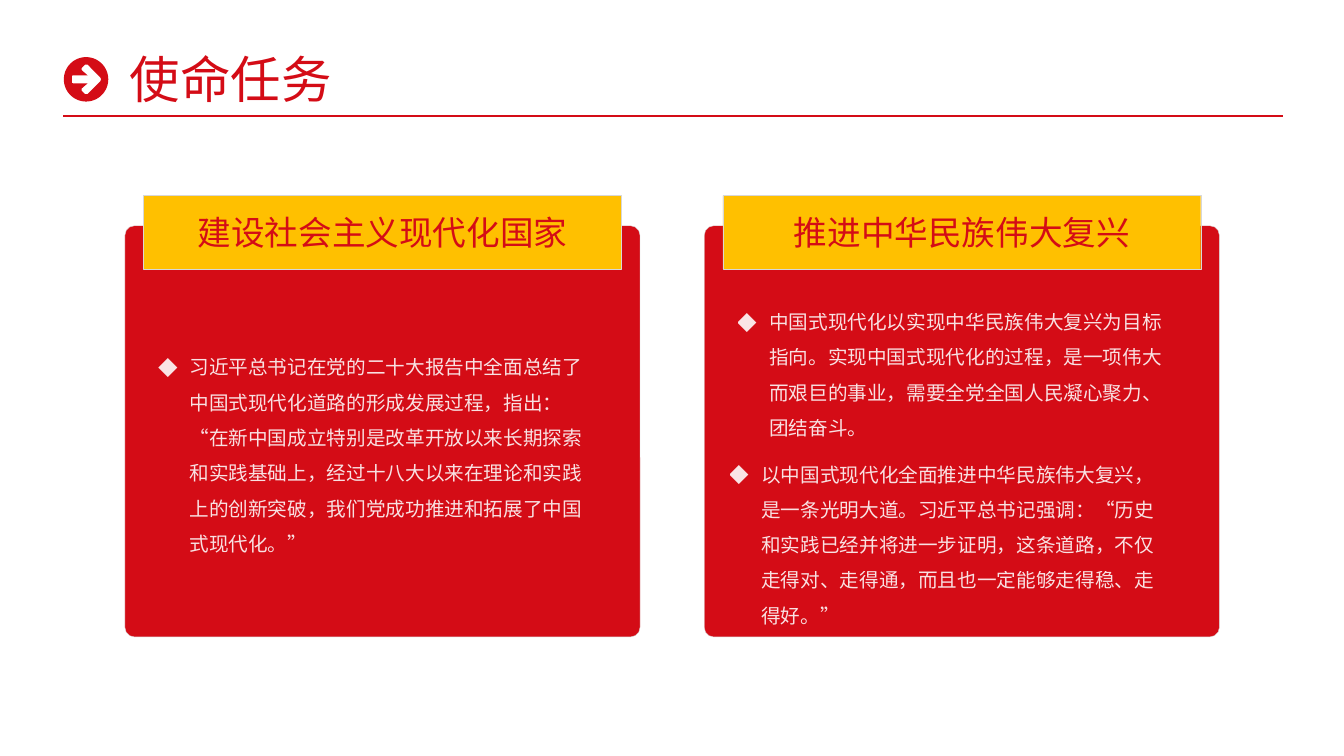
from math import cos, pi, sin

from lxml.etree import SubElement
from pptx import Presentation
from pptx.dml.color import RGBColor
from pptx.enum.lang import MSO_LANGUAGE_ID
from pptx.enum.shapes import MSO_CONNECTOR, MSO_SHAPE
from pptx.enum.text import MSO_ANCHOR, MSO_AUTO_SIZE, PP_ALIGN
from pptx.oxml.ns import qn
from pptx.util import Cm, Pt

FONT = "Noto Sans CJK SC"
RED, GOLD, GREY, WHITE = "D40C16", "FFC000", "D7D7D7", "FFFFFF"
CARD_TOP, CARD_W, CARD_H = 5.69, 12.98, 10.36
LIST_W = 11.61

# Each card: left edge, heading, lists as (left, top, height, text)
CARDS = [
    (3.15, "建设社会主义现代化国家", [
        (3.73, 8.53, 5.64,
         "习近平总书记在党的二十大报告中全面总结了中国式现代化道路的形成发展过程，指出："
         "“在新中国成立特别是改革开放以来长期探索和实践基础上，经过十八大以来在理论和实践"
         "上的创新突破，我们党成功推进和拓展了中国式现代化。”"),
    ]),
    (17.75, "推进中华民族伟大复兴", [
        (18.34, 7.39, 3.84,
         "中国式现代化以实现中华民族伟大复兴为目标指向。实现中国式现代化的过程，"
         "是一项伟大而艰巨的事业，需要全党全国人民凝心聚力、团结奋斗。"),
        (18.14, 11.23, 4.75,
         "以中国式现代化全面推进中华民族伟大复兴，是一条光明大道。习近平总书记强调："
         "“历史和实践已经并将进一步证明，这条道路，不仅走得对、走得通，"
         "而且也一定能够走得稳、走得好。”"),
    ]),
]


def rgb(value):
    return RGBColor.from_string(value)


def add_run(p, text, size, color, alpha=None):
    r = p.add_run()
    r.text = text
    r.font.size = Pt(size)
    r.font.bold = False
    r.font.name = FONT
    r.font.language_id = MSO_LANGUAGE_ID.SIMPLIFIED_CHINESE
    r.font.color.rgb = rgb(color)
    rPr = r.font._element
    if alpha:
        SubElement(rPr.find(".//" + qn("a:srgbClr")), qn("a:alpha"), val=str(alpha * 1000))
    ea = SubElement(rPr, qn("a:ea"), typeface=FONT)
    rPr.find(qn("a:latin")).addnext(ea)


def place(s, ph, left, top, width, height):
    """Move a placeholder in front of everything drawn so far."""
    ph.left, ph.top, ph.width, ph.height = Cm(left), Cm(top), Cm(width), Cm(height)
    s.shapes._spTree.append(ph._element)
    tf = ph.text_frame
    tf.word_wrap = True
    tf.auto_size = MSO_AUTO_SIZE.NONE
    tf.vertical_anchor = MSO_ANCHOR.TOP
    p = tf.paragraphs[0]
    p.alignment = PP_ALIGN.LEFT
    p.space_before = Pt(0)
    return p


def add_panel(s, left, top, width, height, radius, fill):
    sp = s.shapes.add_shape(MSO_SHAPE.ROUNDED_RECTANGLE, Cm(left), Cm(top), Cm(width), Cm(height))
    sp.adjustments[0] = radius
    sp.shadow.inherit = False
    sp.fill.solid()
    sp.fill.fore_color.rgb = rgb(fill)
    sp.line.color.rgb = rgb(GREY)
    sp.line.width = Pt(0.25)
    return sp


def add_card(s, left, heading):
    add_panel(s, left, CARD_TOP, CARD_W, CARD_H, 0.023, RED)
    band = add_panel(s, left + 0.47, CARD_TOP - 0.76, CARD_W - 0.94, 1.85, 0, GOLD)
    tf = band.text_frame
    tf.word_wrap = True
    tf.vertical_anchor = MSO_ANCHOR.MIDDLE
    p = tf.paragraphs[0]
    p.alignment = PP_ALIGN.CENTER
    add_run(p, heading, 24, RED)


def fill_list(s, ph, left, top, height, text):
    p = place(s, ph, left, top, LIST_W, height)
    p.line_spacing = 1.5
    pPr = p._p.get_or_add_pPr()
    pPr.set("marL", str(Cm(0.79)))
    pPr.set("indent", str(-Cm(0.79)))
    SubElement(pPr, qn("a:buFont"), typeface=FONT)
    SubElement(pPr, qn("a:buChar"), char="◆")
    add_run(p, text, 14, WHITE, alpha=88)


def add_arrow_badge(s, cx, cy, radius):
    """Disc with an arrow cut out of it."""
    steps = 72
    disc = [(cx + radius * cos(2 * pi * i / steps), cy + radius * sin(2 * pi * i / steps))
            for i in range(steps)]
    upper = [(-0.36, -0.09), (-0.33, -0.1), (0.04, -0.1), (-0.11, -0.23), (-0.11, -0.29),
             (-0.03, -0.37), (0.04, -0.37), (0.36, -0.05), (0.38, 0)]
    lower = [(x, -y) for x, y in reversed(upper[:-1])]
    arrow = [(cx + x, cy + y) for x, y in upper + lower]
    builder = s.shapes.build_freeform(Cm(disc[0][0]), Cm(disc[0][1]))
    builder.add_line_segments([(Cm(x), Cm(y)) for x, y in disc[1:]])
    builder.move_to(Cm(arrow[0][0]), Cm(arrow[0][1]))
    builder.add_line_segments([(Cm(x), Cm(y)) for x, y in arrow[1:]])
    sp = builder.convert_to_shape()
    sp.shadow.inherit = False
    sp.fill.solid()
    sp.fill.fore_color.rgb = rgb(RED)
    sp.line.fill.background()


def add_rule(s, left, right, y):
    line = s.shapes.add_connector(MSO_CONNECTOR.STRAIGHT, Cm(left), Cm(y), Cm(right), Cm(y))
    line.line.color.rgb = rgb(RED)
    line.line.width = Pt(1.5)
    SubElement(line._element.spPr, qn("a:effectLst"))


def main():
    prs = Presentation()
    prs.slide_width, prs.slide_height = Cm(33.87), Cm(19.05)
    s = prs.slides.add_slide(prs.slide_layouts.get_by_name("Comparison"))
    title, *bodies = s.placeholders

    # Header
    add_rule(s, 1.6, 32.33, 2.92)
    add_arrow_badge(s, 2.17, 2, 0.56)
    add_run(place(s, title, 3.02, 1.09, 9.35, 1.8), "使命任务", 36, RED)

    # Cards with their lists
    for left, heading, lists in CARDS:
        add_card(s, left, heading)
        for item in lists:
            fill_list(s, bodies.pop(0), *item)

    # Unused placeholders
    for ph in bodies:
        ph._element.getparent().remove(ph._element)

    prs.save("out.pptx")


if __name__ == "__main__":
    main()
